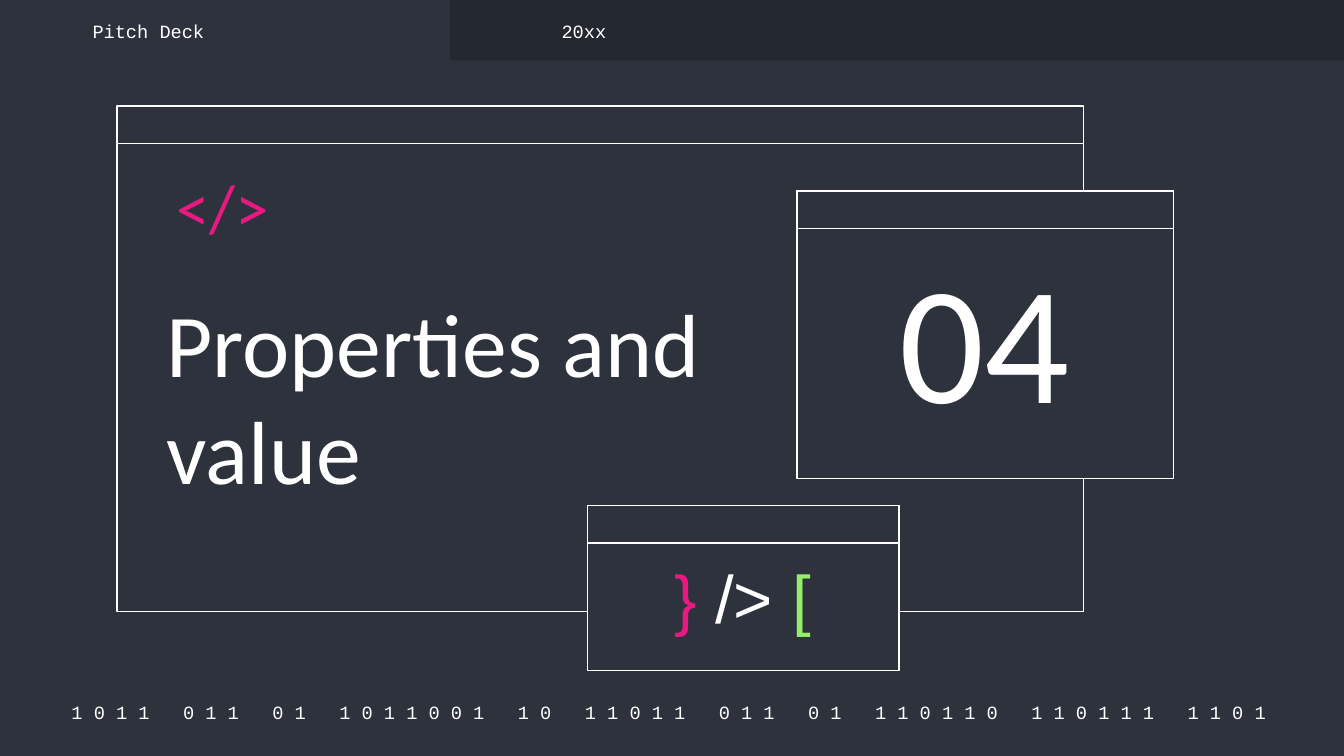
from pptx import Presentation
from pptx.dml.color import RGBColor
from pptx.enum.shapes import MSO_SHAPE
from pptx.enum.text import MSO_ANCHOR, MSO_AUTO_SIZE, PP_ALIGN
from pptx.util import Inches, Pt

DARK = RGBColor(0x2D, 0x32, 0x3C)
BAR = RGBColor(0x24, 0x28, 0x30)
WHITE = RGBColor(0xFF, 0xFF, 0xFF)
PINK = RGBColor(0xE8, 0x19, 0x81)
GREEN = RGBColor(0x94, 0xEE, 0x6B)

TOP, MID, LOW = MSO_ANCHOR.TOP, MSO_ANCHOR.MIDDLE, MSO_ANCHOR.BOTTOM
LEFT, CENTER, RIGHT = PP_ALIGN.LEFT, PP_ALIGN.CENTER, PP_ALIGN.RIGHT


def add_rect(shapes, box, fill, line=None):
    rect = shapes.add_shape(MSO_SHAPE.RECTANGLE, *map(Inches, box))
    rect.shadow.inherit = False
    rect.fill.solid()
    rect.fill.fore_color.rgb = fill
    if line is None:
        rect.line.fill.background()
    else:
        rect.line.color.rgb = line
        rect.line.width = Pt(0.75)


def set_text(shape, box, runs, font, size, align=LEFT, anchor=TOP, space=1.0):
    """Place a text shape and fill it with (text, colour) runs."""
    place = dict(zip(("left", "top", "width", "height"), map(Inches, box)))
    for name, value in place.items():
        setattr(shape, name, value)
    frame = shape.text_frame
    look = {"word_wrap": True, "auto_size": MSO_AUTO_SIZE.NONE,
            "vertical_anchor": anchor}
    for side in ("left", "top", "right", "bottom"):
        look[f"margin_{side}"] = Inches(0.1)
    for name, value in look.items():
        setattr(frame, name, value)
    para = frame.paragraphs[0]
    para.alignment = align
    para.line_spacing = space
    for text, color in runs:
        run = para.add_run()
        run.text = text
        for name, value in {"name": font, "size": Pt(size)}.items():
            setattr(run.font, name, value)
        run.font.color.rgb = color


deck = Presentation()
deck.slide_width = Inches(10)
deck.slide_height = Inches(10) * 9 // 16
slide = deck.slides.add_slide(deck.slide_layouts[5])
slide.background.fill.solid()
slide.background.fill.fore_color.rgb = DARK
shapes = slide.shapes

# Dark tab strip at the top
add_rect(shapes, (3.35, 0, 6.65, 0.45), BAR)

# Windows, each with a title bar, from back to front
windows = [
    (0.87, 0.79, 7.19, 3.76),
    (4.37, 3.76, 2.32, 1.23),
    (5.93, 1.42, 2.8, 2.14),
]
for x, y, w, h in windows:
    group = shapes.add_group_shape()
    for high in (h, 0.28):
        add_rect(group.shapes, (x, y, w, high), DARK, WHITE)

# The title goes in front of the windows
title = shapes.title
shapes._spTree.append(title._element)
set_text(title, (1.14, 2.04, 4.36, 0.9),
         [("Properties and value", WHITE)], "Calibri", 48)

groups = "1011 011 01 1011001 10 11011 011 01 110110 110111 1101".split()
bits = "   ".join(" ".join(group) for group in groups) + " "
code = [("}", PINK), (" /> ", WHITE), ("[", GREEN)]

labels = [
    ((0.38, 5.2, 9.27, 0.2), [(bits, WHITE)], "Courier New", 10, CENTER, MID),
    ((0.59, 0.13, 2.19, 0.2), [("Pitch Deck", WHITE)], "Courier New", 10, LEFT, MID),
    ((4.08, 0.13, 2.19, 0.2), [("20xx", WHITE)], "Courier New", 10, LEFT, MID),
    ((6.11, 1.7, 2.43, 1.65), [("04", WHITE)], "Calibri", 90, CENTER, LOW),
    ((0.92, 1.2, 1.18, 0.62), [("</>", PINK)], "Calibri", 36, RIGHT, TOP, 0.9),
    ((4.86, 4.11, 1.33, 0.82), code, "Arial", 36, CENTER, TOP, 0.9),
]
for box, *rest in labels:
    set_text(shapes.add_textbox(*map(Inches, box)), box, *rest)

deck.save("out.pptx")
